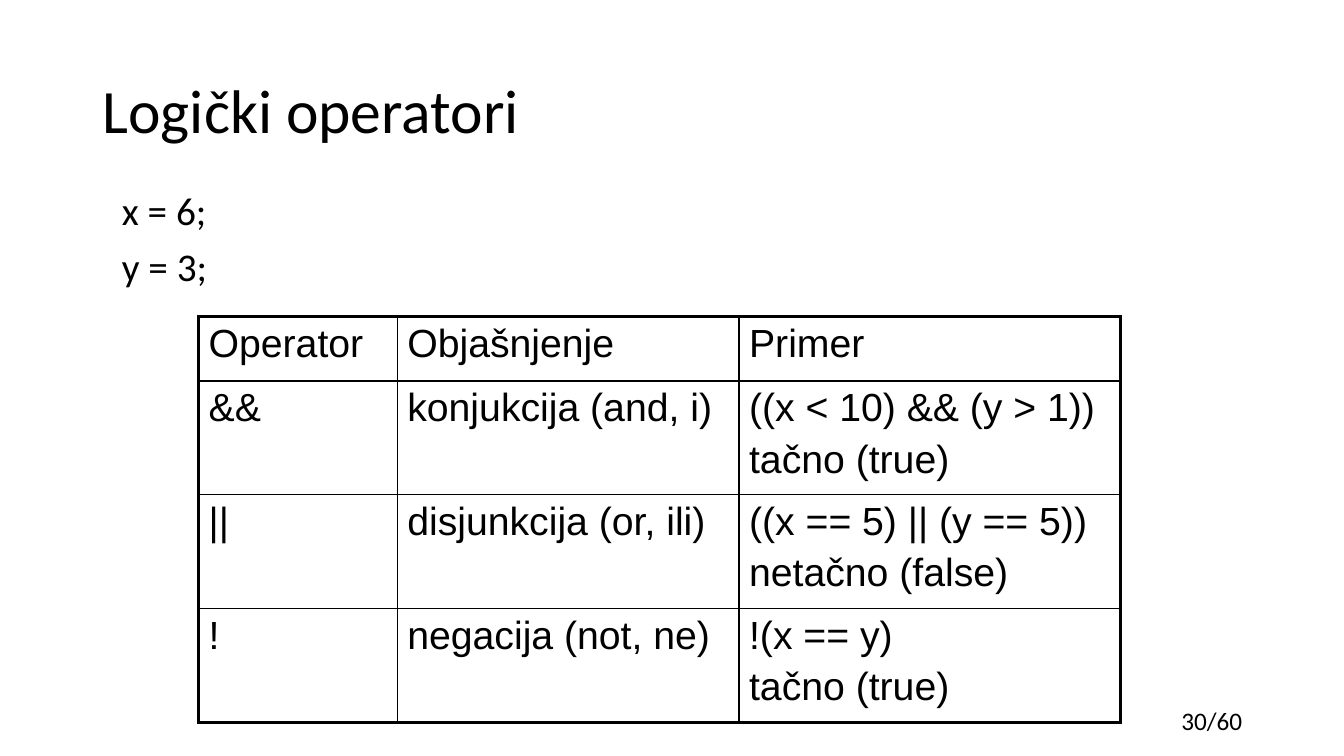
from dataclasses import dataclass

from lxml import etree
from pptx import Presentation, util as u
from pptx.dml.color import RGBColor
from pptx.enum import text
from pptx.oxml import ns

WIDTH, HEIGHT = u.Inches(13.33), u.Inches(7.5)
COLORS = {"ink": "000000", "paper": "FFFFFF"}
THIN, THICK = 1, 2.25


@dataclass(frozen=True)
class Area:
    """Place and size in percent of the slide's width and height."""
    left: float
    top: float
    width: float
    height: float

    def lengths(self) -> tuple[int, int, int, int]:
        return across(self.left), down(self.top), across(self.width), down(self.height)


@dataclass(frozen=True)
class TextBlock:
    area: Area
    lines: tuple[str, ...]
    size: float
    align: text.PP_ALIGN = text.PP_ALIGN.LEFT
    anchor: text.MSO_ANCHOR = text.MSO_ANCHOR.TOP
    line_spacing: float = 0.9
    gap: float = 0


BLOCKS = (
    TextBlock(Area(6.9, 5.33, 86.27, 19.33), ("Logički operatori",), 44,
              anchor=text.MSO_ANCHOR.MIDDLE),
    TextBlock(Area(8.33, 24.67, 86.27, 63.47), ("x = 6;", "y = 3;"), 28, gap=10),
    TextBlock(Area(72.09, 92.67, 21.08, 5.33), ("30/60",), 18,
              align=text.PP_ALIGN.RIGHT, line_spacing=1),
)

TABLE_LEFT, TABLE_TOP = 14.78, 41.87
COLUMNS = (14.78, 25.43, 28.36)
ROWS = (8.53, 15.07, 15.07, 15.07)
OPERATORS = (
    (("Operator",), ("Objašnjenje",), ("Primer",)),
    (("&&",), ("konjukcija (and, i)",), ("((x < 10) && (y > 1))", "tačno (true)")),
    (("||",), ("disjunkcija (or, ili)",), ("((x == 5) || (y == 5))", "netačno (false)")),
    (("!",), ("negacija (not, ne)",), ("!(x == y)", "tačno (true)")),
)


def across(percent: float) -> int:
    return round(WIDTH * percent / 100)


def down(percent: float) -> int:
    return round(HEIGHT * percent / 100)


def write(frame, lines: tuple[str, ...], font: str, size: float, gap: float,
          line_spacing: float = 1, align: text.PP_ALIGN = text.PP_ALIGN.LEFT) -> None:
    frame.word_wrap = True
    for index, line in enumerate(lines):
        para = frame.add_paragraph() if index else frame.paragraphs[0]
        para.text = line
        para.alignment = align
        para.line_spacing = line_spacing
        para.space_before = u.Pt(gap if index else 0)
        para.font.name = font
        para.font.size = u.Pt(size)
        para.font.color.rgb = RGBColor.from_string(COLORS["ink"])


def add_block(page, block: TextBlock) -> None:
    box = page.shapes.add_textbox(*block.area.lengths())
    box.text_frame.vertical_anchor = block.anchor
    write(box.text_frame, block.lines, "Calibri", block.size, block.gap,
          block.line_spacing, block.align)


def add_border(cell, side: str, points: float) -> None:
    properties = cell._tc.get_or_add_tcPr()
    line = etree.SubElement(properties, ns.qn(f"a:ln{side}"), w=str(u.Pt(points)))
    fill = etree.SubElement(line, ns.qn("a:solidFill"))
    etree.SubElement(fill, ns.qn("a:srgbClr"), val=COLORS["ink"])


def add_operator_table(page) -> None:
    area = Area(TABLE_LEFT, TABLE_TOP, sum(COLUMNS), sum(ROWS))
    table = page.shapes.add_table(len(ROWS), len(COLUMNS), *area.lengths()).table
    table.first_row = table.horz_banding = False
    for column, share in zip(table.columns, COLUMNS):
        column.width = across(share)
    for row, share in zip(table.rows, ROWS):
        row.height = down(share)

    for r, entries in enumerate(OPERATORS):
        for c, lines in enumerate(entries):
            cell = table.cell(r, c)
            write(cell.text_frame, lines, "Arial", 28, gap=5.6)
            # Outer edges are thick, inner ones thin
            outer = {"L": c == 0, "R": c == len(COLUMNS) - 1,
                     "T": r == 0, "B": r == len(ROWS) - 1}
            for side, is_outer in outer.items():
                add_border(cell, side, THICK if is_outer else THIN)
            cell.fill.background()


def main() -> None:
    deck = Presentation()
    deck.slide_width, deck.slide_height = WIDTH, HEIGHT
    page = deck.slides.add_slide(deck.slide_layouts[6])
    page.background.fill.solid()
    page.background.fill.fore_color.rgb = RGBColor.from_string(COLORS["paper"])

    # Title, variables and page number
    for block in BLOCKS:
        add_block(page, block)

    # Table of logical operators
    add_operator_table(page)
    deck.save("out.pptx")


if __name__ == "__main__":
    main()
